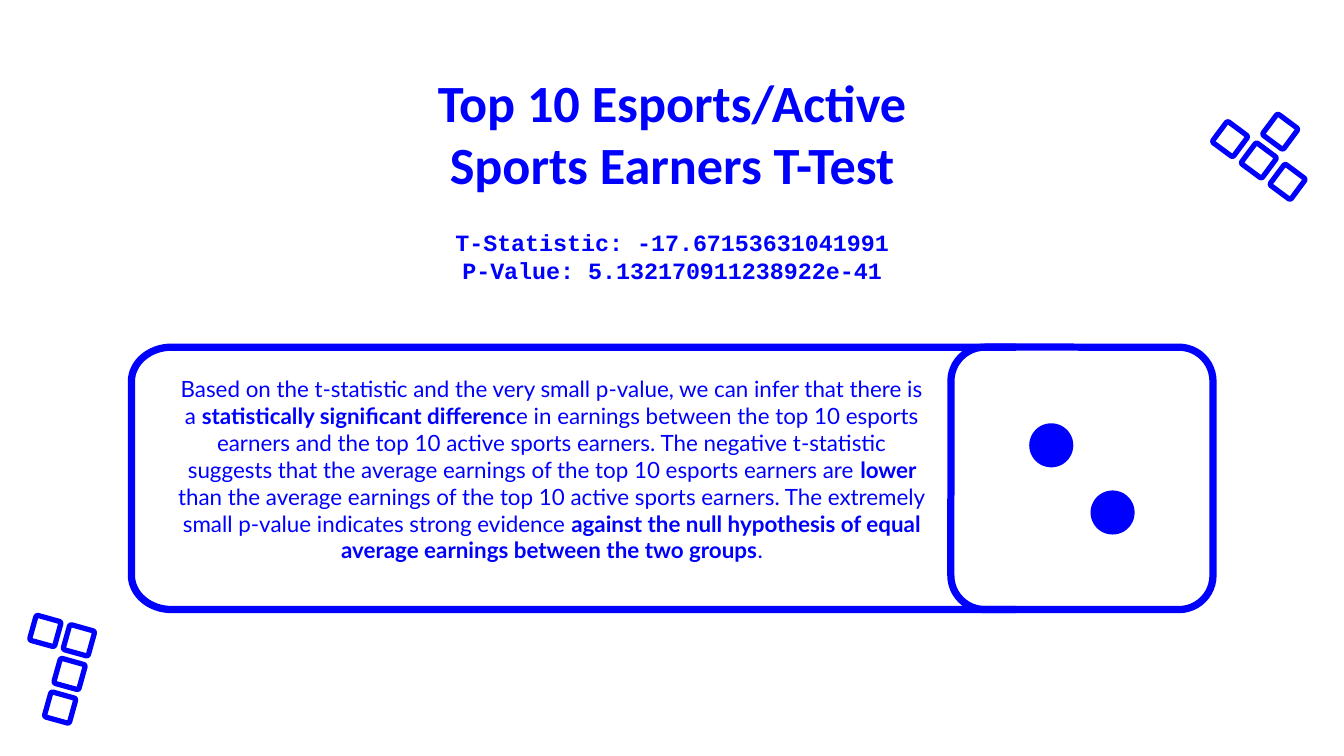
from math import cos, pi, radians, sin

from pptx import Presentation
from pptx.dml.color import RGBColor
from pptx.enum import shapes, text
from pptx.util import Pt

BLUE = RGBColor(0x00, 0x00, 0xFE)
WHITE = RGBColor(0xFF, 0xFF, 0xFF)
FRAME_LINE = 3.88

STATISTICS = ["T-Statistic: -17.67153631041991", "P-Value: 5.132170911238922e-41"]
CONCLUSION = [  # wording, bold
    ("Based on the t-statistic and the very small p-value, we can infer that there is a ", False),
    ("statistically significant differenc", True),
    ("e in earnings between the top 10 esports earners and the top 10 active sports "
     "earners. The negative t-statistic suggests that the average earnings of the top "
     "10 esports earners are ", False),
    ("lower ", True),
    ("than the average earnings of the top 10 active sports earners. The extremely "
     "small p-value indicates strong evidence ", False),
    ("against the null hypothesis of equal average earnings between the two groups", True),
    (".", False),
]


def outline(shape, width):
    shape.shadow.inherit = False
    shape.fill.background()
    shape.line.color.rgb = BLUE
    shape.line.width = Pt(width)


def add_text(page, box, paragraphs, font_name, size, bold=None):
    """Place centred paragraphs, each a list of (wording, bold) spans."""
    frame = page.shapes.add_textbox(*map(Pt, box)).text_frame
    frame.word_wrap = True
    frame.vertical_anchor = text.MSO_ANCHOR.TOP
    frame.margin_left = frame.margin_right = Pt(7.2)
    frame.margin_top = frame.margin_bottom = Pt(7.2)
    for index, spans in enumerate(paragraphs):
        para = frame.paragraphs[0] if index == 0 else frame.add_paragraph()
        para.alignment = text.PP_ALIGN.CENTER
        para.font.name, para.font.size, para.font.bold = font_name, Pt(size), bold
        para.font.color.rgb = BLUE
        for wording, strong in spans:
            span = para.add_run()
            span.text = wording
            if strong:
                span.font.bold = True


def add_block_piece(page, center, angle, pitch, cells):
    """Place tilted squares on a grid of (column, row) cells around a center."""
    side = 13.9
    across, down = cos(radians(angle)), sin(radians(angle))
    for column, row in cells:
        x = center[0] + pitch * (column * across - row * down)
        y = center[1] + pitch * (column * down + row * across)
        square = page.shapes.add_shape(
            shapes.MSO_SHAPE.ROUNDED_RECTANGLE,
            Pt(x - side / 2), Pt(y - side / 2), Pt(side), Pt(side))
        square.adjustments[0] = 0.08
        square.rotation = angle
        outline(square, 2.8)


def add_open_panel(page, box):
    """Place a frame with two round left corners and an open right side."""
    left, top, width, height = box
    radius_x, radius_y, steps = 21.6, 18.4, 16
    right, bottom = left + width, top + height
    points = []
    for center_y, start in ((bottom - radius_y, pi / 2), (top + radius_y, pi)):
        for step in range(steps + 1):
            turn = start + step * pi / 2 / steps
            points.append((Pt(left + radius_x + radius_x * cos(turn)),
                           Pt(center_y + radius_y * sin(turn))))
    points.append((Pt(right), Pt(top)))
    builder = page.shapes.build_freeform(Pt(right), Pt(bottom))
    builder.add_line_segments(points, close=False)
    outline(builder.convert_to_shape(), FRAME_LINE)


def add_die(page, box):
    """Place a die face showing two dots."""
    left, top, width, height = box
    face = page.shapes.add_shape(shapes.MSO_SHAPE.ROUNDED_RECTANGLE, *map(Pt, box))
    face.adjustments[0] = 0.13
    outline(face, FRAME_LINE)
    diameter = 23.6
    for x, y in ((0.383, 0.374), (0.617, 0.63)):
        dot = page.shapes.add_shape(
            shapes.MSO_SHAPE.OVAL,
            Pt(left + x * width - diameter / 2), Pt(top + y * height - diameter / 2),
            Pt(diameter), Pt(diameter))
        dot.shadow.inherit = False
        dot.fill.solid()
        dot.fill.fore_color.rgb = BLUE
        dot.line.fill.background()


def add_conclusion(page, box):
    """Place the framed conclusion with the die at its right end."""
    left, top, width, height = box
    add_die(page, (left + width - 140.4, top, 140.4, height))
    add_open_panel(page, (left, top, 473.8, height))
    add_text(page, (left + 15.1, top + 7.9, 420.5, 125.3), [CONCLUSION], "Lato", 12)


def add_heading(page, box):
    """Place the title with the test results below it."""
    left, top, width, height = box
    title = "Top 10 Esports/Active Sports Earners T-Test"
    add_text(page, (left, top, width, 59.8), [[(title, False)]], "Calibri", 28, True)
    add_text(page, (left, top + height - 59.8, width, 59.8),
             [[(line, False)] for line in STATISTICS], "Courier New", 12.5, True)


def main():
    deck = Presentation()
    deck.slide_width, deck.slide_height = Pt(720), Pt(405)
    page = deck.slides.add_slide(deck.slide_layouts[6])
    page.background.fill.solid()
    page.background.fill.fore_color.rgb = WHITE

    # Corner decorations
    add_block_piece(page, (674.4, 86), 36.6, 19.2, [(0, -1), (0, 0), (1, 0), (-1, 0)])
    add_block_piece(page, (37.3, 361.1), 15.6, 18.7, [(0, 0), (0, 1), (0, -1), (-1, -1)])

    # Main content
    add_conclusion(page, (70.4, 186, 579.4, 140.6))
    add_heading(page, (200.9, 30.2, 318.2, 144.8))

    deck.save("out.pptx")


if __name__ == "__main__":
    main()
